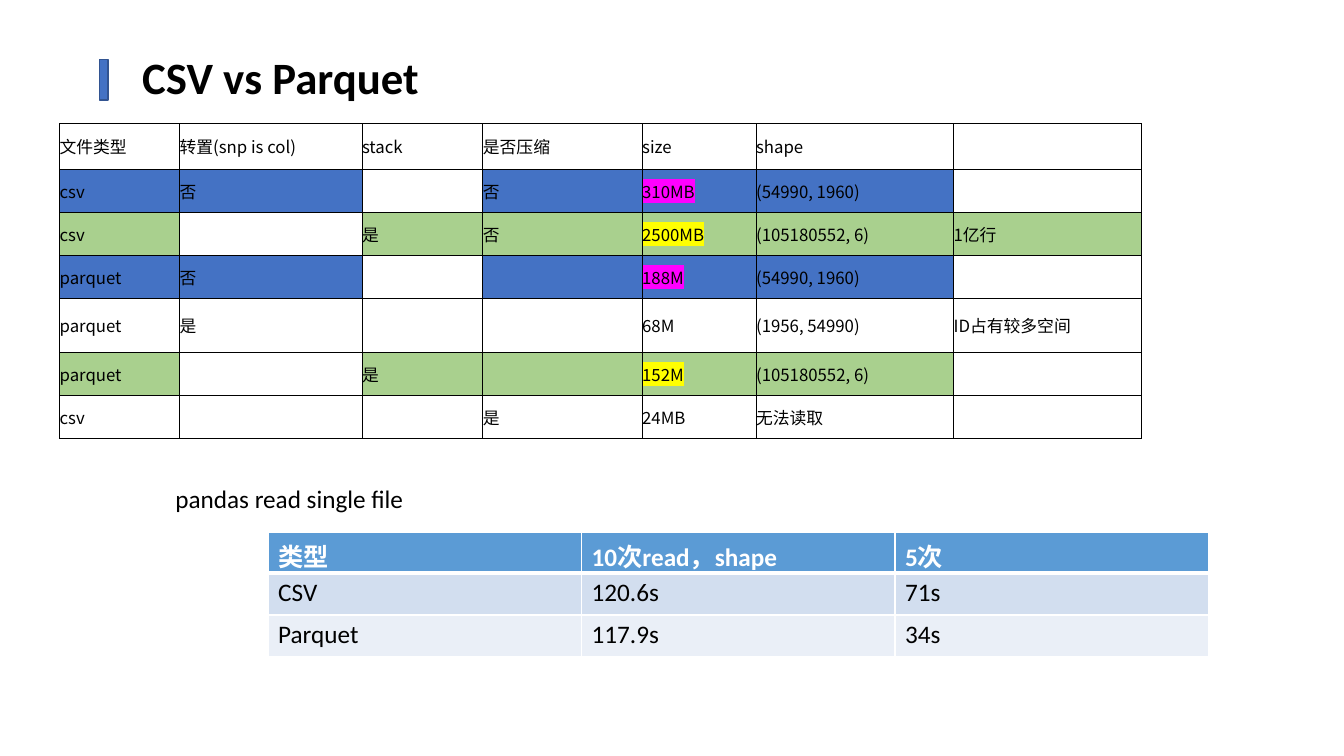
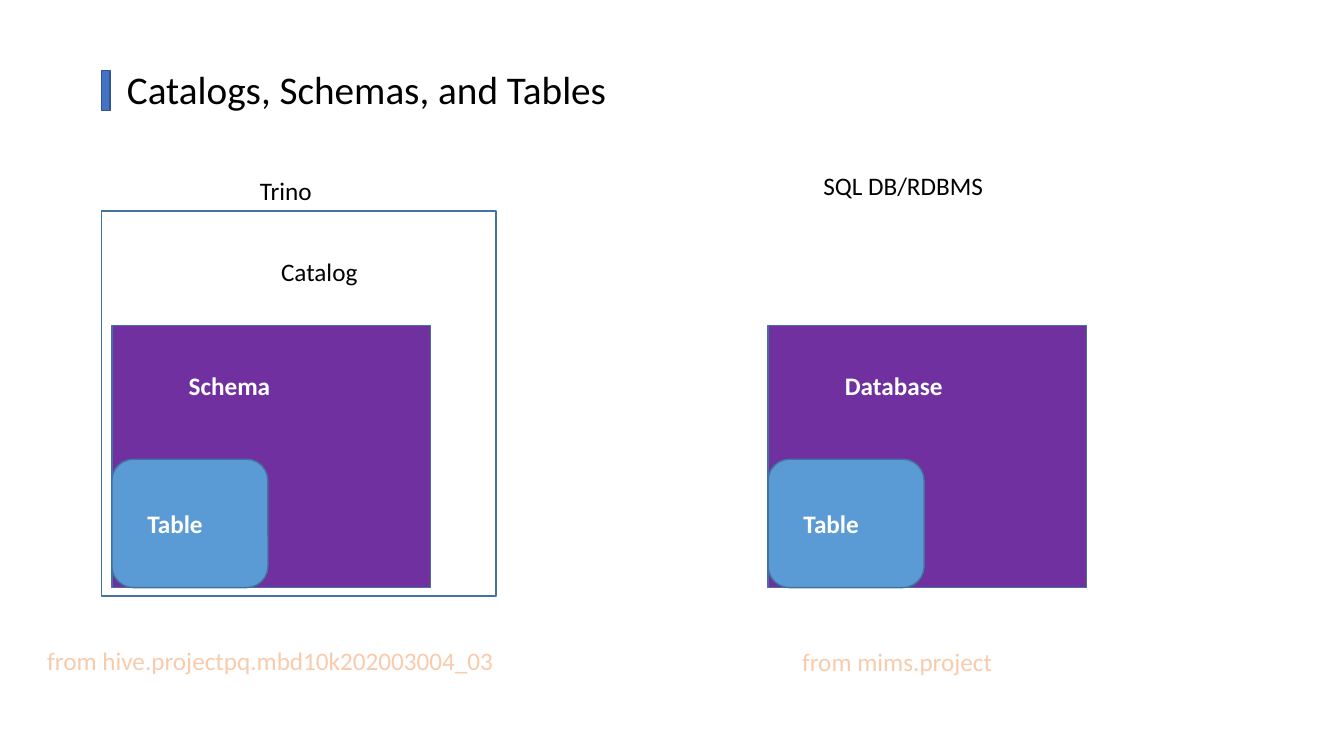
import dataclasses
import pptx
import pptx.dml.color
import pptx.enum.shapes
import pptx.enum.text
import pptx.oxml
import pptx.oxml.ns
import pptx.util

COLS, ROWS = 160, 90
WIDE, HIGH = pptx.util.Inches(13.333), pptx.util.Inches(7.5)
SHAPE = pptx.enum.shapes.MSO_SHAPE
ANCHOR = pptx.enum.text.MSO_ANCHOR
FIT = pptx.enum.text.MSO_AUTO_SIZE


@dataclasses.dataclass(frozen=True)
class Theme:
    latin: str = "Calibri"
    asian: str = "Noto Sans CJK SC"
    ink: str = "000000"
    paper: str = "FFFFFF"
    blue: str = "4472C4"
    navy: str = "325491"
    sky: str = "5B9BD5"
    edge: str = "43739E"
    green: str = "A9D08E"
    pink: str = "FF00FF"
    yellow: str = "FFFF00"
    purple: str = "7030A0"
    peach: str = "F8CBAD"
    orange: str = "ED7D31"
    bands: tuple = ("D2DEEF", "EAEFF7")
    head: int = 32
    title: int = 28
    body: int = 18
    small: int = 12


T = Theme()


def place(box):
    """Turn a box in grid columns and rows into slide lengths."""
    x, y, w, h = box
    return (round(x * WIDE / COLS), round(y * HIGH / ROWS),
            round(w * WIDE / COLS), round(h * HIGH / ROWS))


def part(box, x, y, w, h):
    """Give the box that takes these shares of another box."""
    left, top, wide, high = box
    return left + x * wide, top + y * high, w * wide, h * high


def rgb(code):
    return pptx.dml.color.RGBColor.from_string(code)


def xml(text):
    return pptx.oxml.parse_xml(
        text.replace(" ", f" {pptx.oxml.ns.nsdecls('a')} ", 1))


def paint(code):
    return f'<a:solidFill><a:srgbClr val="{code}"/></a:solidFill>'


def style(para, size, color=T.ink, bold=False, face=T.latin):
    font = para.font
    font.size = pptx.util.Pt(size)
    font.bold = bold
    font.color.rgb = rgb(color)
    font.name = face
    props = para._p.get_or_add_pPr().find(pptx.oxml.ns.qn("a:defRPr"))
    props.append(xml(f'<a:ea typeface="{T.asian}"/>'))


def shape(slide, kind, box, fill, line):
    item = slide.shapes.add_shape(kind, *place(box))
    item.shadow.inherit = False
    item.fill.solid()
    item.fill.fore_color.rgb = rgb(fill)
    item.line.color.rgb = rgb(line)
    item.line.width = pptx.util.Pt(1)


def label(slide, box, text, color=T.ink, bold=False, wrap=False):
    frame = slide.shapes.add_textbox(*place(box)).text_frame
    frame.word_wrap = wrap
    frame.auto_size = FIT.SHAPE_TO_FIT_TEXT
    para = frame.paragraphs[0]
    run = para.add_run()
    run.text = text
    style(para, T.body, color, bold)
    return run


def head(deck, text, box, bar, size, bold=False):
    """Add a slide with a title and the blue bar beside it."""
    slide = deck.slides.add_slide(deck.slide_layouts[5])
    title = slide.shapes.title
    title.left, title.top, title.width, title.height = place(box)
    frame = title.text_frame
    frame.text = text
    frame.word_wrap = True
    frame.auto_size = FIT.NONE
    frame.vertical_anchor = ANCHOR.MIDDLE
    para = frame.paragraphs[0]
    para.alignment = pptx.enum.text.PP_ALIGN.LEFT
    para.line_spacing = 0.9
    style(para, size, bold=bold)
    shape(slide, SHAPE.RECTANGLE, (*bar, 1, 4.8), T.blue, T.navy)
    return slide


def grid(slide, spot, wides, highs):
    box = (*spot, sum(wides), sum(highs))
    table = slide.shapes.add_table(
        len(highs), len(wides), *place(box)).table
    table.horz_banding = table.first_row = False
    for col, wide in zip(table.columns, wides):
        col.width = round(wide * WIDE / COLS)
    for row, high in zip(table.rows, highs):
        row.height = round(high * HIGH / ROWS)
    return table


def border(cell, color, width, base=None):
    """Draw all four sides; base is the width of the lower one."""
    props = cell._tc.get_or_add_tcPr()
    for side in "LRTB":
        size = base if base and side == "B" else width
        props.append(xml(f'<a:ln{side} w="{round(size * 12700)}">'
                         f'{paint(color)}</a:ln{side}>'))


def tint(cell, color):
    if color:
        cell.fill.solid()
        cell.fill.fore_color.rgb = rgb(color)
    else:
        cell.fill.background()


def files(slide, spot):
    """Table of file types; each row has a fill, its columns and a mark."""
    data = (
        ("文件类型|转置(snp is col)|stack|是否压缩|size|shape|", None, (), None),
        ("csv|否||否|310MB|(54990, 1960)|", T.blue, (0, 1, 3, 4, 5), T.pink),
        ("csv||是|否|2500MB|(105180552, 6)|1亿行",
         T.green, (0, 2, 3, 4, 5, 6), T.yellow),
        ("parquet|否|||188M|(54990, 1960)|",
         T.blue, (0, 1, 3, 4, 5), T.pink),
        ("parquet|是|||68M|(1956, 54990)|ID占有较多空间", None, (), None),
        ("parquet||是||152M|(105180552, 6)|",
         T.green, (0, 2, 3, 4, 5), T.yellow),
        ("csv|||是|24MB|无法读取|", None, (), None),
    )
    table = grid(slide, spot,
                 (14.28, 21.72, 14.4, 18.96, 13.56, 23.52, 22.32),
                 (5.5, 5.1, 5.1, 5.1, 6.5, 5.1, 5.1))
    for row, (line, fill, filled, mark) in enumerate(data):
        for col, text in enumerate(line.split("|")):
            cell = table.cell(row, col)
            cell.margin_left = cell.margin_right = 0
            cell.margin_top = cell.margin_bottom = 0
            cell.vertical_anchor = ANCHOR.MIDDLE
            border(cell, T.ink, 0.75)
            tint(cell, fill if col in filled else None)
            para = cell.text_frame.paragraphs[0]
            style(para, T.small, face=T.asian)
            if not text:
                continue
            run = para.add_run()
            run.text = text
            if mark and col == 4:
                run._r.get_or_add_rPr().append(xml(
                    f'<a:highlight ><a:srgbClr val="{mark}"/>'
                    '</a:highlight>'))


def times(slide, spot):
    """Table of read times."""
    data = (("类型", "10次read，shape", "5次"),
            ("CSV", "120.6s", "71s"),
            ("Parquet", "117.9s", "34s"))
    table = grid(slide, spot, (37.32,) * 3, (4.8, 5, 5))
    for row, line in enumerate(data):
        top = row == 0
        for col, text in enumerate(line):
            cell = table.cell(row, col)
            border(cell, T.paper, 1, 3 if top else None)
            tint(cell, T.sky if top else T.bands[row - 1])
            cell.text = text
            style(cell.text_frame.paragraphs[0], T.body,
                  T.paper if top else T.ink, top)


def nest(slide, box, name):
    """Draw a store with a table in its lower left corner."""
    shape(slide, SHAPE.RECTANGLE, box, T.purple, T.edge)
    shape(slide, SHAPE.ROUNDED_RECTANGLE, part(box, 0, 0.51, 0.49, 0.49),
          T.sky, T.edge)
    label(slide, part(box, 0.21, 0.15, 0.4, 0.15), name, T.paper, True)
    label(slide, part(box, 0.08, 0.68, 0.27, 0.15), "Table", T.paper, True)


def query(slide, spot, text):
    run = label(slide, (*spot, 82.2, 4.8), text, T.peach, wrap=True)
    run.font.color.rgb = rgb(T.peach)
    run._r.get_or_add_rPr().insert(
        0, xml(f'<a:ln w="22225">{paint(T.orange)}</a:ln>'))


def formats(deck):
    slide = head(deck, "CSV vs Parquet", (15.72, 5.04, 83.76, 9),
                 (11.88, 7.1), T.head, True)
    files(slide, (7.1, 14.7))
    label(slide, (19.7, 56.9, 32.5, 4.8), "pandas read single file")
    times(slide, (31.92, 63.4))


def levels(deck):
    slide = head(deck, "Catalogs, Schemas, and Tables",
                 (13.92, 2.28, 138, 17.4), (12.12, 8.4), T.title)
    shape(slide, SHAPE.RECTANGLE, (12.12, 25.1, 46.92, 45.84),
          T.paper, T.edge)
    for left, name in ((13.32, "Schema"), (91.44, "Database")):
        nest(slide, (left, 38.76, 37.92, 31.2), name)
    for x, y, wide, text in ((32.28, 29.9, 12.8, "Catalog"),
                             (29.76, 20.3, 9.2, "Trino"),
                             (96.84, 19.7, 24.2, "SQL DB/RDBMS")):
        label(slide, (x, y, wide, 4.8), text)
    query(slide, (4.44, 76.2), "from hive.projectpq.mbd10k202003004_03")
    query(slide, (94.32, 76.3), "from mims.project")


def main():
    deck = pptx.Presentation()
    deck.slide_width, deck.slide_height = WIDE, HIGH
    formats(deck)
    levels(deck)
    deck.save("out.pptx")


if __name__ == "__main__":
    main()
